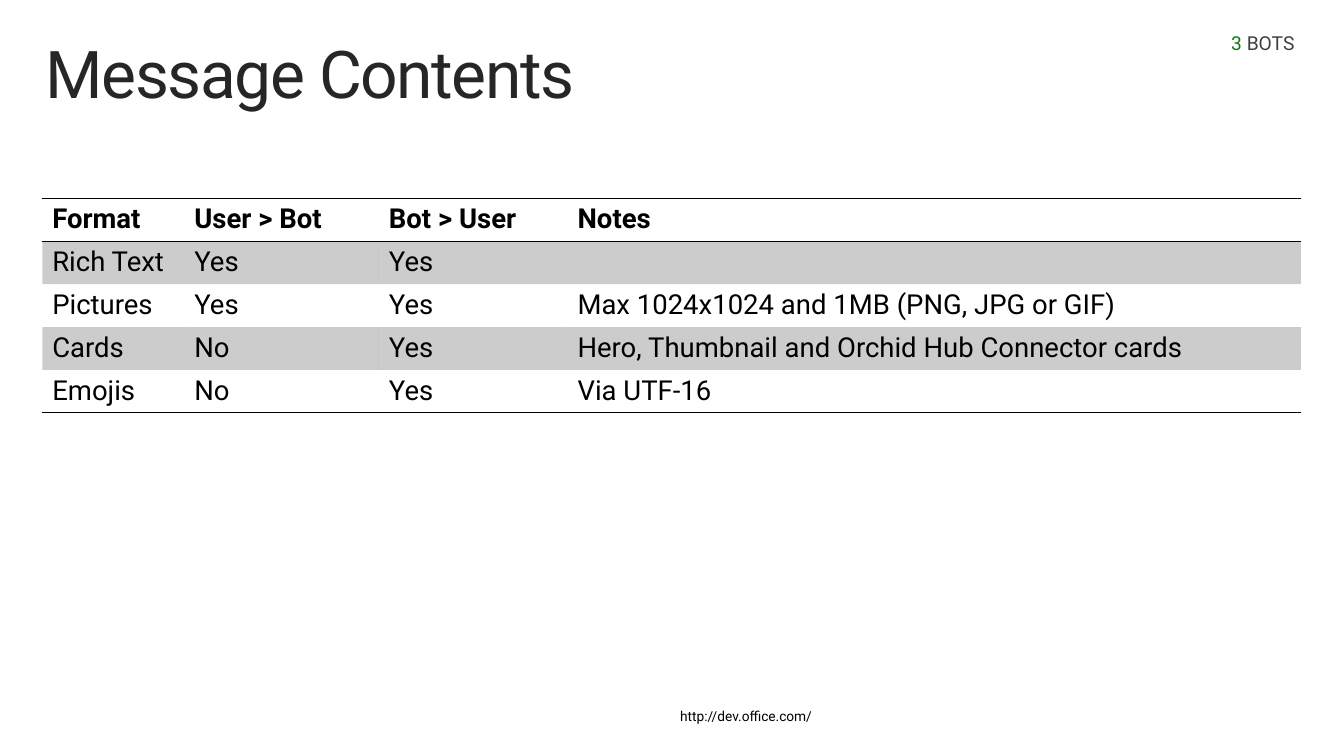
import dataclasses

import lxml.etree
import pptx
import pptx.dml.color
import pptx.enum.text
import pptx.oxml.ns
import pptx.util

Cm = pptx.util.Cm
Pt = pptx.util.Pt
RGB = pptx.dml.color.RGBColor.from_string
qn = pptx.oxml.ns.qn


@dataclasses.dataclass(frozen=True)
class Theme:
    """Colours, font and type sizes of the slide."""

    font: str = "Roboto"
    black: str = "000000"
    title: str = "262626"
    section: str = "404040"
    accent: str = "107C10"
    title_size: int = 48
    table_size: int = 20
    section_size: int = 14
    link_size: int = 10
    band_opacity: int = 20
    rule_width: int = 1


THEME = Theme()
NO_STYLE = "{2D5ABB26-0587-4C30-8999-92F81FD0307C}"
COLUMN_WIDTHS = (3.65, 5, 4.85, 18.84)
ROW_HEIGHT = 1.08
FORMATS = (
    ("Format", "User > Bot", "Bot > User", "Notes"),
    ("Rich Text", "Yes", "Yes", ""),
    ("Pictures", "Yes", "Yes", "Max 1024x1024 and 1MB (PNG, JPG or GIF)"),
    ("Cards", "No", "Yes", "Hero, Thumbnail and Orchid Hub Connector cards"),
    ("Emojis", "No", "Yes", "Via UTF-16"),
)


def apply(target, values):
    """Set each named attribute on the target."""
    for name, value in values.items():
        setattr(target, name, value)


def add_run(paragraph, text, size, color, bold=False, spacing=0):
    """Append a styled run to a paragraph."""
    run = paragraph.add_run()
    run.text = text
    apply(run.font, {"name": THEME.font, "size": Pt(size), "bold": bold})
    run.font.color.rgb = RGB(color)
    if spacing:
        run._r.get_or_add_rPr().set("spc", str(spacing * 100))


def add_text(slide, box, runs, frame_format, paragraph_format):
    """Add a one-paragraph text box made of styled runs."""
    frame = slide.shapes.add_textbox(*map(Cm, box)).text_frame
    paragraph = frame.paragraphs[0]
    apply(frame, frame_format)
    apply(paragraph, paragraph_format)
    for run in runs:
        add_run(paragraph, **run)


def add_rule(cell, side):
    """Draw a solid border on one side of a cell."""
    line = lxml.etree.SubElement(
        cell._tc.get_or_add_tcPr(), qn(f"a:{side}"), w=str(Pt(THEME.rule_width))
    )
    fill = lxml.etree.SubElement(line, qn("a:solidFill"))
    lxml.etree.SubElement(fill, qn("a:srgbClr"), val=THEME.black)


def fill_cell(cell, banded):
    """Give a cell a translucent band or no fill."""
    if not banded:
        cell.fill.background()
        return
    cell.fill.solid()
    cell.fill.fore_color.rgb = RGB(THEME.black)
    color = cell._tc.tcPr.find(f".//{qn('a:solidFill')}/{qn('a:srgbClr')}")
    if cell._tc.tcPr.find(qn("a:solidFill")) is not None:
        color = cell._tc.tcPr.find(qn("a:solidFill"))[0]
    lxml.etree.SubElement(color, qn("a:alpha"), val=str(THEME.band_opacity * 1000))


def add_format_table(slide):
    """Add the table of message formats."""
    size = (sum(COLUMN_WIDTHS), ROW_HEIGHT * len(FORMATS))
    table = slide.shapes.add_table(
        len(FORMATS), len(COLUMN_WIDTHS), *map(Cm, (1.09, 5.1, *size))
    ).table
    apply(table, {"first_row": False, "horz_banding": False})
    table._tbl.tblPr.find(qn("a:tableStyleId")).text = NO_STYLE
    for column, width in zip(table.columns, COLUMN_WIDTHS):
        column.width = Cm(width)
    rules = {0: ("lnT", "lnB"), len(FORMATS) - 1: ("lnB",)}
    for row, entries in enumerate(FORMATS):
        table.rows[row].height = Cm(ROW_HEIGHT)
        for column, entry in enumerate(entries):
            cell = table.cell(row, column)
            for side in rules.get(row, ()):
                add_rule(cell, side)
            fill_cell(cell, banded=row % 2 == 1)
            if entry:
                add_run(cell.text_frame.paragraphs[0], entry,
                        THEME.table_size, THEME.black, bold=row == 0)


def main():
    """Build the slide and save it."""
    deck = pptx.Presentation()
    apply(deck, {"slide_width": Cm(34.54), "slide_height": Cm(19.43)})
    slide = deck.slides.add_slide(deck.slide_layouts[6])
    padding = {"margin_left": Cm(0.41), "margin_right": Cm(0.41),
               "margin_top": Cm(0.25), "margin_bottom": Cm(0.25)}
    tight = {"line_spacing": 0.9}
    add_text(
        slide, (17.07, 18.06, 4.22, 0.89),
        [{"text": "http://dev.office.com/", "size": THEME.link_size, "color": THEME.black}],
        {**padding, "word_wrap": False,
         "auto_size": pptx.enum.text.MSO_AUTO_SIZE.SHAPE_TO_FIT_TEXT},
        tight,
    )
    add_text(
        slide, (0.76, 0.81, 33.02, 2.54),
        [{"text": "Message Contents", "size": THEME.title_size,
          "color": THEME.title, "spacing": -1}],
        {**padding, "word_wrap": True},
        tight,
    )
    add_text(
        slide, (22.12, 0.81, 11.66, 1.04),
        [{"text": "3 ", "size": THEME.section_size, "color": THEME.accent},
         {"text": "BOTS", "size": THEME.section_size, "color": THEME.section}],
        {"margin_right": Cm(0.51), "margin_top": 0, "word_wrap": True},
        {"alignment": pptx.enum.text.PP_ALIGN.RIGHT},
    )
    add_format_table(slide)
    deck.save("out.pptx")


if __name__ == "__main__":
    main()
